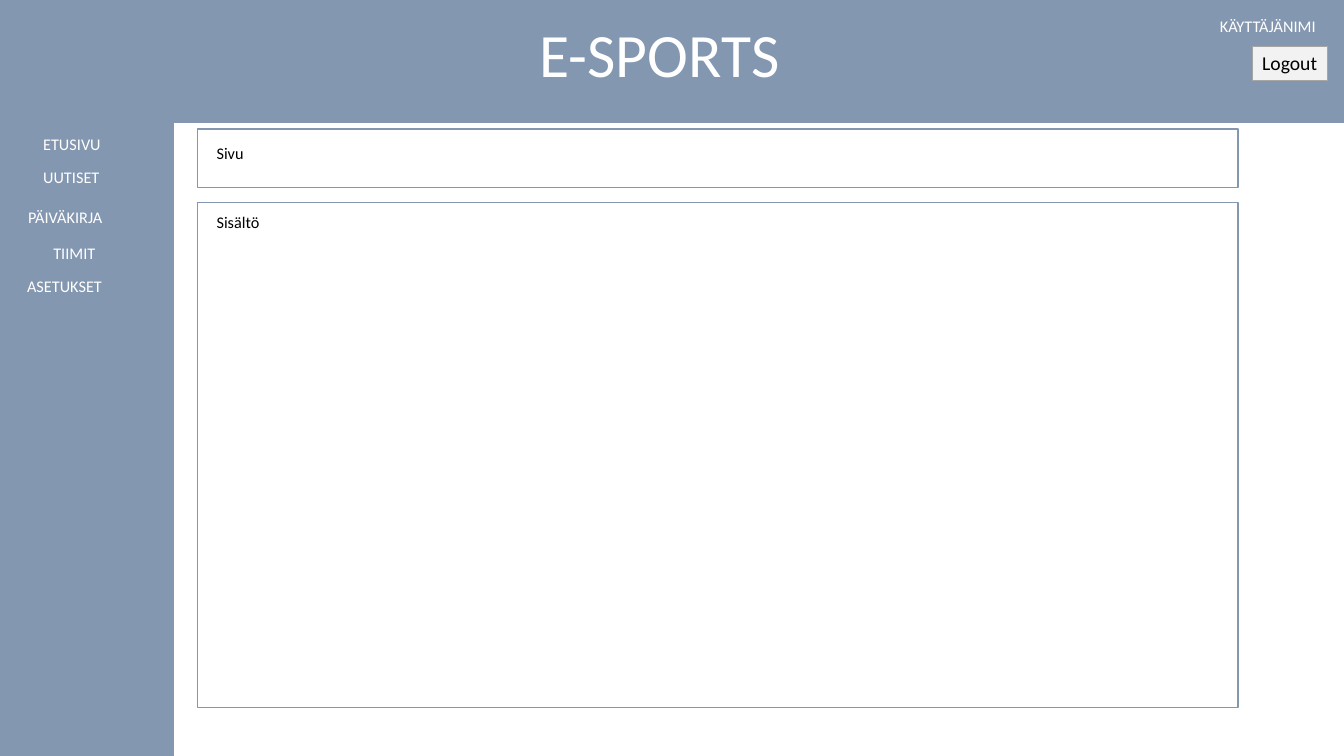
from pptx import Presentation
from pptx import util as u
from pptx.dml.color import RGBColor
from pptx.enum import shapes, text

WIDTH, HEIGHT = 13.33, 7.5
BLUE, WHITE, BLACK = "8497B0", "FFFFFF", "000000"
BUTTON, BUTTON_EDGE = "F2F2F2", "A6A6A6"
HEADER_H, SIDEBAR_W = 1.21, 1.72
PANEL_X, PANEL_W = 1.96, 10.32
SMALL, LABEL_H = 11.6, 0.3

# Content: panels and bars as (left, top, width, height, fill)
areas = [
    (PANEL_X, 1.28, PANEL_W, 0.58, WHITE),
    (PANEL_X, 2.01, PANEL_W, 5.01, WHITE),
    (0, 0, WIDTH, HEADER_H, BLUE),
    (0, HEADER_H, SIDEBAR_W, HEIGHT - HEADER_H, BLUE),
]
# Labels as (words, left, top, width, colour, wraps)
labels = [
    ("ETUSIVU", 0.33, 1.28, 0.77, WHITE, False),
    ("UUTISET", 0.33, 1.61, 0.76, WHITE, False),
    ("PÄIVÄKIRJA", 0.18, 2.01, 0.96, WHITE, False),
    ("TIIMIT", 0.43, 2.36, 0.62, WHITE, False),
    ("ASETUKSET", 0.17, 2.69, 0.95, WHITE, False),
    ("KÄYTTÄJÄNIMI", 12, 0.11, 1.18, WHITE, False),
    ("Sivu", 2.05, 1.37, 1.37, BLACK, True),
    ("Sisältö", 2.05, 2.06, 0.87, BLACK, True),
]


def rgb(colour):
    return RGBColor.from_string(colour)


def inches(*lengths):
    return [u.Inches(length) for length in lengths]


def add_area(left, top, width, height, fill, edge=BLUE, weight=1):
    area = slide.shapes.add_shape(
        shapes.MSO_SHAPE.RECTANGLE, *inches(left, top, width, height))
    area.shadow.inherit = False
    area.fill.solid()
    area.fill.fore_color.rgb = rgb(fill)
    area.line.color.rgb = rgb(edge)
    area.line.width = u.Pt(weight)
    return area


def write(holder, words, size, colour, wraps):
    frame = holder.text_frame
    frame.text = words
    frame_format = {
        "word_wrap": wraps,
        "auto_size": text.MSO_AUTO_SIZE.SHAPE_TO_FIT_TEXT,
        "vertical_anchor": text.MSO_ANCHOR.TOP,
        "margin_left": u.Inches(0.1), "margin_right": u.Inches(0.1),
        "margin_top": u.Inches(0.05), "margin_bottom": u.Inches(0.05),
    }
    for key, value in frame_format.items():
        setattr(frame, key, value)
    paragraph = frame.paragraphs[0]
    paragraph.alignment = text.PP_ALIGN.LEFT
    for key, value in {"name": "Calibri", "size": u.Pt(size)}.items():
        setattr(paragraph.runs[0].font, key, value)
    paragraph.runs[0].font.color.rgb = rgb(colour)


deck = Presentation()
deck.slide_width, deck.slide_height = inches(WIDTH, HEIGHT)
slide = deck.slides.add_slide(deck.slide_layouts[5])

for area in areas:
    add_area(*area)

# Title, brought in front of the header bar
title = slide.shapes.title
title.left, title.top, title.width, title.height = inches(5.25, 0.11, 2.83, 0.84)
write(title, "E-SPORTS", 44, WHITE, True)
slide.shapes._spTree.append(title._element)

# Menu, user name and panel labels
for words, left, top, width, colour, wraps in labels:
    label = slide.shapes.add_textbox(*inches(left, top, width, LABEL_H))
    write(label, words, SMALL, colour, wraps)

# Logout button
logout = add_area(12.42, 0.46, 0.75, 0.34, BUTTON, BUTTON_EDGE, 0.75)
write(logout, "Logout", 14, BLACK, False)

deck.save("out.pptx")
